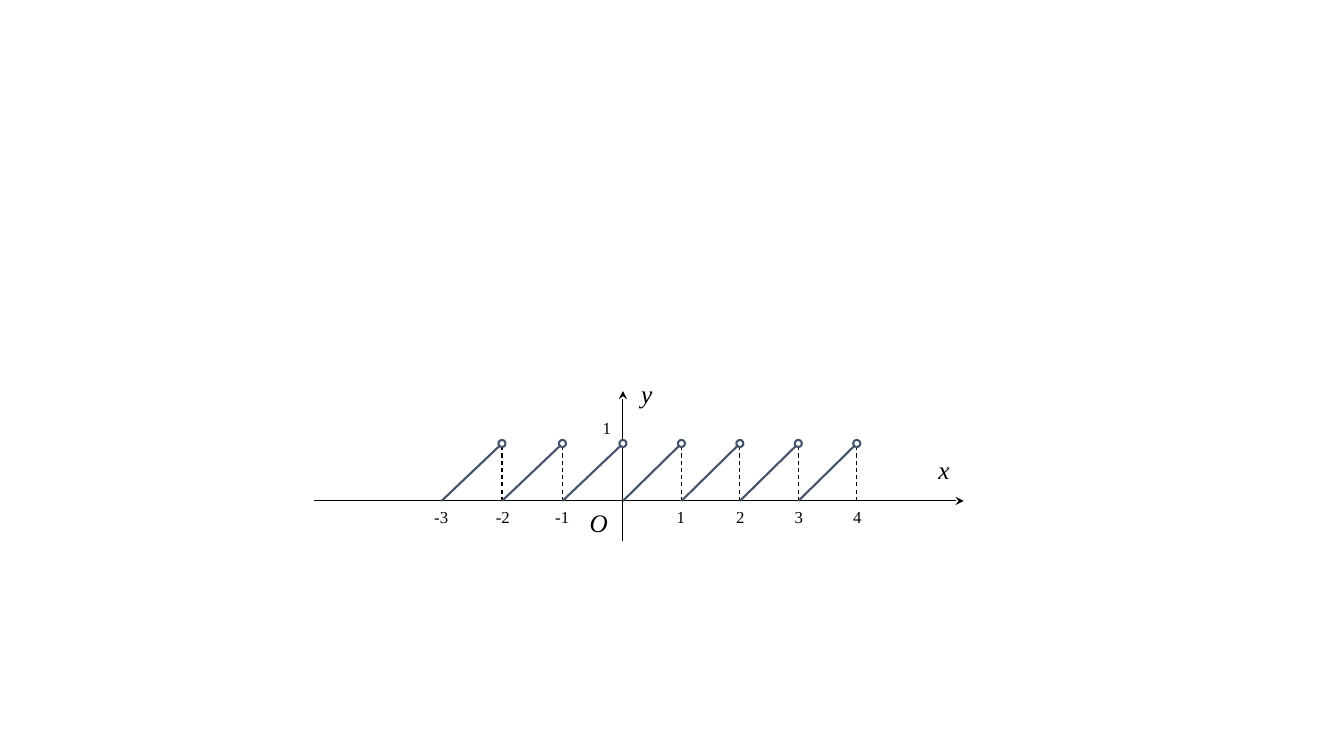
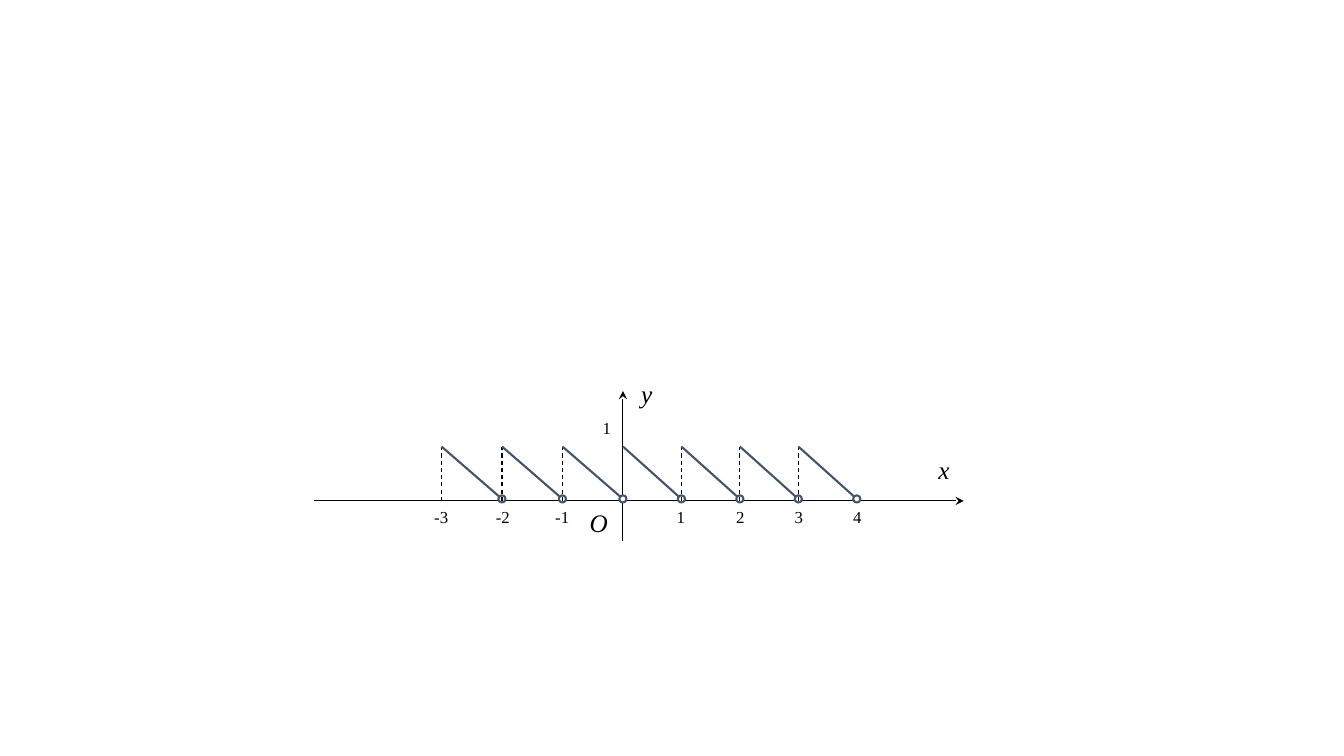
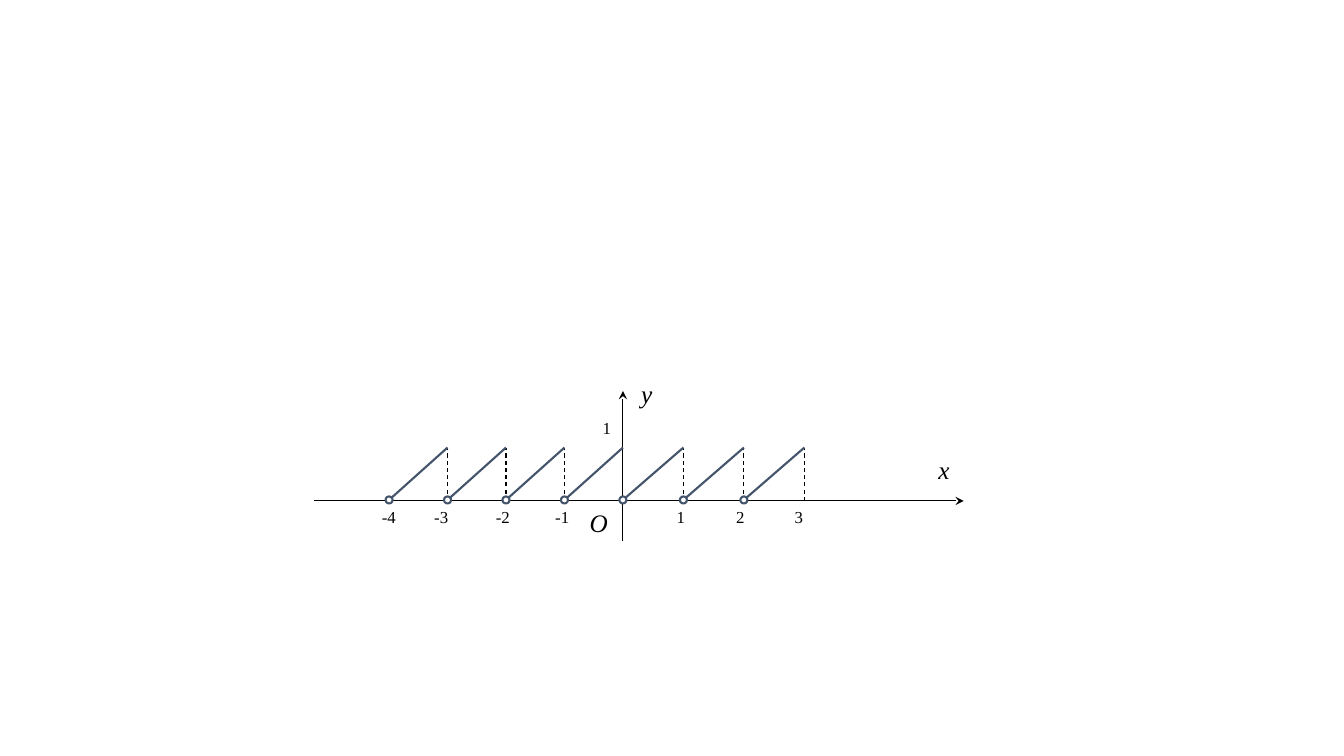
from lxml import etree
from pptx import Presentation, util as u
from pptx.dml.color import RGBColor
from pptx.enum import dml, shapes, text
from pptx.oxml.ns import qn

INK = RGBColor(0, 0, 0)
CURVE = RGBColor(0x44, 0x54, 0x6A)
PAPER = RGBColor(255, 255, 255)
FACE = "Times New Roman"
CELL = u.Inches(0.1)  # side of one grid cell
COLS, ROWS = 133.33, 75
ZERO, BASE = 61.8, 49.7  # column and row of the origin
MARKS = {-4: 38.6, -3: 43.8, -2: 49.9, -1: 55.8,
         1: 67.6, 2: 73.5, 3: 79.3, 4: 85.1}


def cells(*nums):
    return [round(n * CELL) for n in nums]


def assign(obj, **vals):
    for key, val in vals.items():
        setattr(obj, key, val)


class Plot:
    """Draws sawtooth graphs; all lengths are in grid cells."""

    def __init__(self):
        self.deck = Presentation()
        wide, high = cells(COLS, ROWS)
        assign(self.deck, slide_width=wide, slide_height=high)

    def page(self):
        self.items = self.deck.slides.add_slide(self.deck.slide_layouts[6]).shapes

    def line(self, x1, y1, x2, y2, color=INK, width=0.75, dash=None, arrow=False):
        link = self.items.add_connector(
            shapes.MSO_CONNECTOR.STRAIGHT, *cells(x1, y1, x2, y2))
        assign(link.line, width=u.Pt(width), dash_style=dash)
        link.line.color.rgb = color
        if arrow:
            etree.SubElement(link.line._get_or_add_ln(), qn("a:tailEnd"), type="stealth")
        etree.SubElement(link._element.spPr, qn("a:effectLst"))

    def dot(self, x, y, size=0.7):
        ring = self.items.add_shape(
            shapes.MSO_SHAPE.OVAL, *cells(x - size / 2, y - size / 2, size, size))
        ring.shadow.inherit = False
        ring.fill.solid()
        ring.fill.fore_color.rgb = PAPER
        ring.line.color.rgb = CURVE
        ring.line.width = u.Pt(1.5)

    def label(self, words, mid, top, wide, high=3, size=12, italic=False):
        """Write words in a box centred on column mid."""
        box = self.items.add_textbox(*cells(mid - wide / 2, top, wide, high))
        assign(box.text_frame, word_wrap=False,
               auto_size=text.MSO_AUTO_SIZE.SHAPE_TO_FIT_TEXT)
        para = box.text_frame.paragraphs[0]
        para.alignment = text.PP_ALIGN.CENTER if italic else text.PP_ALIGN.LEFT
        run = para.add_run()
        run.text = words
        assign(run.font, name=FACE, size=u.Pt(size), italic=italic)
        run.font.color.rgb = INK

    def axes(self):
        self.line(31.2, BASE, 95.6, BASE, arrow=True)
        self.line(ZERO, 53.7, ZERO, 38.8, arrow=True)
        for name, mid, top, wide in (("y", 64.15, 37, 3.1), ("O", 59.4, 49.8, 3.8),
                                     ("x", 93.65, 44.6, 3.1)):
            self.label(name, mid, top, wide, high=4, size=18, italic=True)
        self.label("1", 60.25, 41, 2.9)

    def graph(self, first, left, right, top, low, rise=True, open_top=False):
        """Draw seven teeth from first on; left and right are the tick gaps."""
        self.page()
        self.axes()

        def tick(n):
            return ZERO + n * (left if n < 0 else right)

        for n in range(first, first + 7):
            foot, peak = (n, n + 1) if rise else (n + 1, n)
            if peak:
                self.line(tick(peak), 49.7, tick(peak), top,
                          dash=dml.MSO_LINE.DASH)
            self.line(tick(foot), low, tick(peak), top, color=CURVE, width=1.5)
            self.dot(*((tick(peak), top) if open_top else (tick(foot), low)))
        for n in range(first, first + 8):
            if n:
                self.label(str(n), MARKS[n], 49.8, 3.4 if n < 0 else 2.9)


def main():
    plot = Plot()
    plot.graph(-3, 6, 5.8, 44, 49.7, open_top=True)
    plot.graph(-3, 6, 5.8, 44.3, 49.5, rise=False)
    plot.graph(-4, 5.8, 6, 44.4, 49.6)
    plot.deck.save("out.pptx")


if __name__ == "__main__":
    main()
